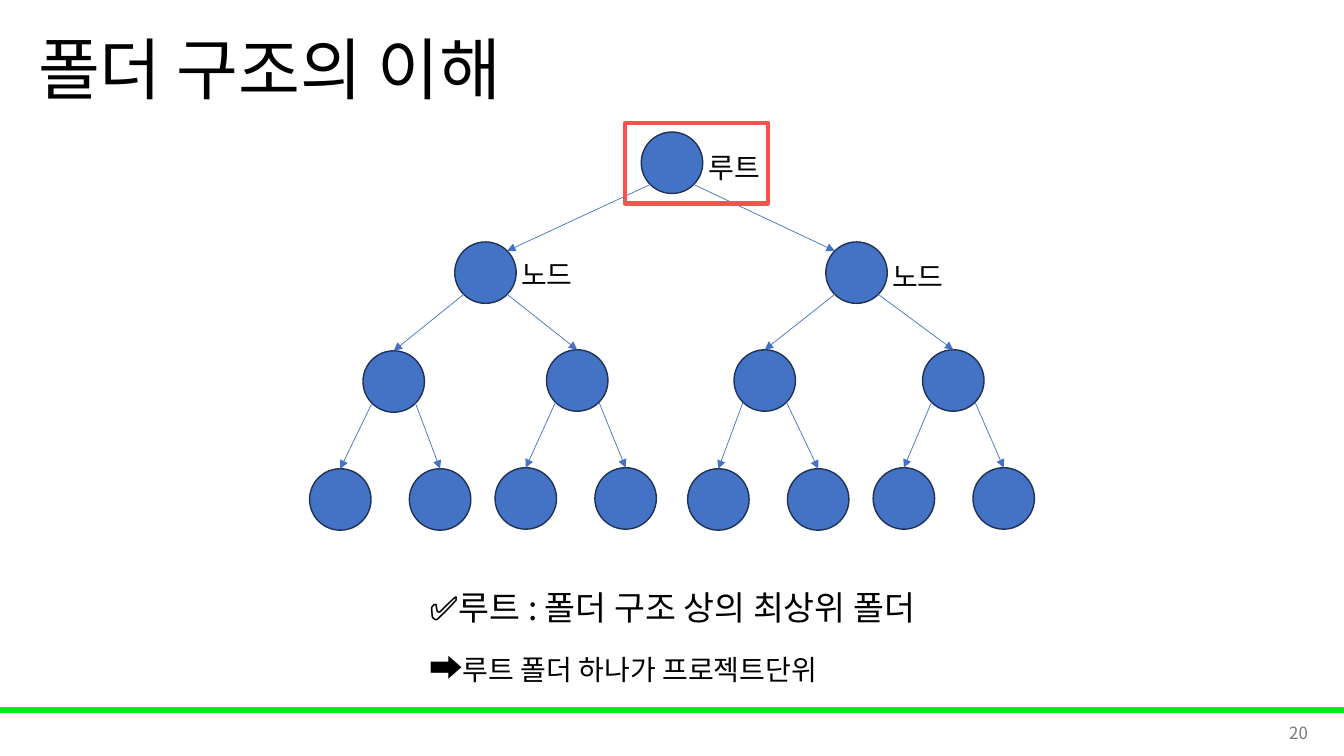
from lxml import etree
from pptx import Presentation
from pptx.dml.color import RGBColor
from pptx.enum import shapes, text
from pptx.oxml import ns
from pptx.util import Inches, Pt

FONT = "Noto Sans CJK KR"
BLACK = RGBColor(0x00, 0x00, 0x00)
GRAY = RGBColor(0x79, 0x79, 0x79)
GREEN = RGBColor(0x00, 0xF2, 0x09)
BLUE = RGBColor(0x44, 0x72, 0xC4)
NAVY = RGBColor(0x1E, 0x32, 0x56)
RED = RGBColor(0xFF, 0x50, 0x50)

DIAMETER = 0.61
RADIUS = DIAMETER / 2
DIAGONAL = RADIUS * 0.5 ** 0.5
NODES = [
    (6.36, 1.31),
    (4.51, 2.4), (8.19, 2.4),
    (3.6, 3.48), (5.42, 3.47), (7.28, 3.47), (9.15, 3.47),
    (3.07, 4.65), (4.06, 4.65), (4.91, 4.64), (5.9, 4.64),
    (6.82, 4.65), (7.81, 4.65), (8.66, 4.64), (9.65, 4.64),
]
NODE_LABELS = [("루트", 6.93, 1.44), ("노드", 5.07, 2.51), ("노드", 8.75, 2.53)]


def add_shape(slide, kind, box, fill, line, line_width):
    """Add a preset shape; a fill of None leaves it hollow."""
    shape = slide.shapes.add_shape(kind, *map(Inches, box))
    shape.shadow.inherit = False
    if fill is None:
        shape.fill.background()
    else:
        shape.fill.solid()
        shape.fill.fore_color.rgb = fill
    shape.line.color.rgb = line
    shape.line.width = Pt(line_width)
    return shape


def add_text(slide, box, content, size, color=BLACK, wrap=True, middle=False):
    """Add a one-paragraph text box and return its paragraph."""
    frame = slide.shapes.add_textbox(*map(Inches, box)).text_frame
    frame.word_wrap = wrap
    if middle:
        frame.vertical_anchor = text.MSO_ANCHOR.MIDDLE
    paragraph = frame.paragraphs[0]
    paragraph.add_run().text = content
    font = paragraph.font
    font.size = Pt(size)
    font.color.rgb = color
    font.name = FONT
    properties = paragraph._p.find(".//" + ns.qn("a:defRPr"))
    etree.SubElement(properties, ns.qn("a:ea")).set("typeface", FONT)
    return paragraph


def add_arrow(slide, start, end):
    """Add a thin arrow between two points."""
    connector = slide.shapes.add_connector(
        shapes.MSO_CONNECTOR.STRAIGHT, *map(Inches, start + end))
    connector.line.color.rgb = BLUE
    connector.line.width = Pt(0.5)
    line = connector.line._get_or_add_ln()
    etree.SubElement(line, ns.qn("a:tailEnd")).set("type", "triangle")
    etree.SubElement(connector._element.spPr, ns.qn("a:effectLst"))


def add_tree(slide):
    """Draw the binary tree with its arrows and labels."""
    for left, top in NODES:
        add_shape(slide, shapes.MSO_SHAPE.OVAL, (left, top, DIAMETER, DIAMETER),
                  BLUE, NAVY, 1)
    centers = [(left + RADIUS, top + RADIUS) for left, top in NODES]
    for index, (x, y) in enumerate(centers[1:], start=1):
        parent = (index - 1) // 2
        side = -1 if index % 2 else 1
        parent_x, parent_y = centers[parent]
        start = (parent_x + side * DIAGONAL, parent_y + DIAGONAL)
        if parent == 0:
            end = (x - side * DIAGONAL, y - DIAGONAL)
        else:
            end = (x, y - RADIUS)
        add_arrow(slide, start, end)
    for label, left, top in NODE_LABELS:
        add_text(slide, (left, top, 0.74, 0.44), label, 20, wrap=False)


def main():
    """Build the slide and save it."""
    presentation = Presentation()
    presentation.slide_width = Inches(13.33)
    presentation.slide_height = Inches(7.5)
    slide = presentation.slides.add_slide(presentation.slide_layouts[6])

    add_shape(slide, shapes.MSO_SHAPE.RECTANGLE, (0, 7.02, 13.33, 0.05), GREEN, GREEN, 1)
    title = add_text(slide, (0.28, 0, 11.5, 1.45), "폴더 구조의 이해", 48, middle=True)
    title.line_spacing = 0.9
    number = add_text(slide, (10.07, 7.07, 3, 0.4), "20", 12, GRAY, middle=True)
    number.alignment = text.PP_ALIGN.RIGHT

    add_tree(slide)

    summary = add_text(slide, (4.16, 5.57, 5.03, 1.24),
                       "✅루트 : 폴더 구조 상의 최상위 폴더 ➡️", 24)
    summary.line_spacing = 1.5
    detail = summary.add_run()
    detail.text = "루트 폴더 하나가 프로젝트단위"
    detail.font.size = Pt(20)
    add_shape(slide, shapes.MSO_SHAPE.RECTANGLE, (6.2, 1.22, 1.42, 0.8), None, RED, 3)

    presentation.save("out.pptx")


if __name__ == "__main__":
    main()
